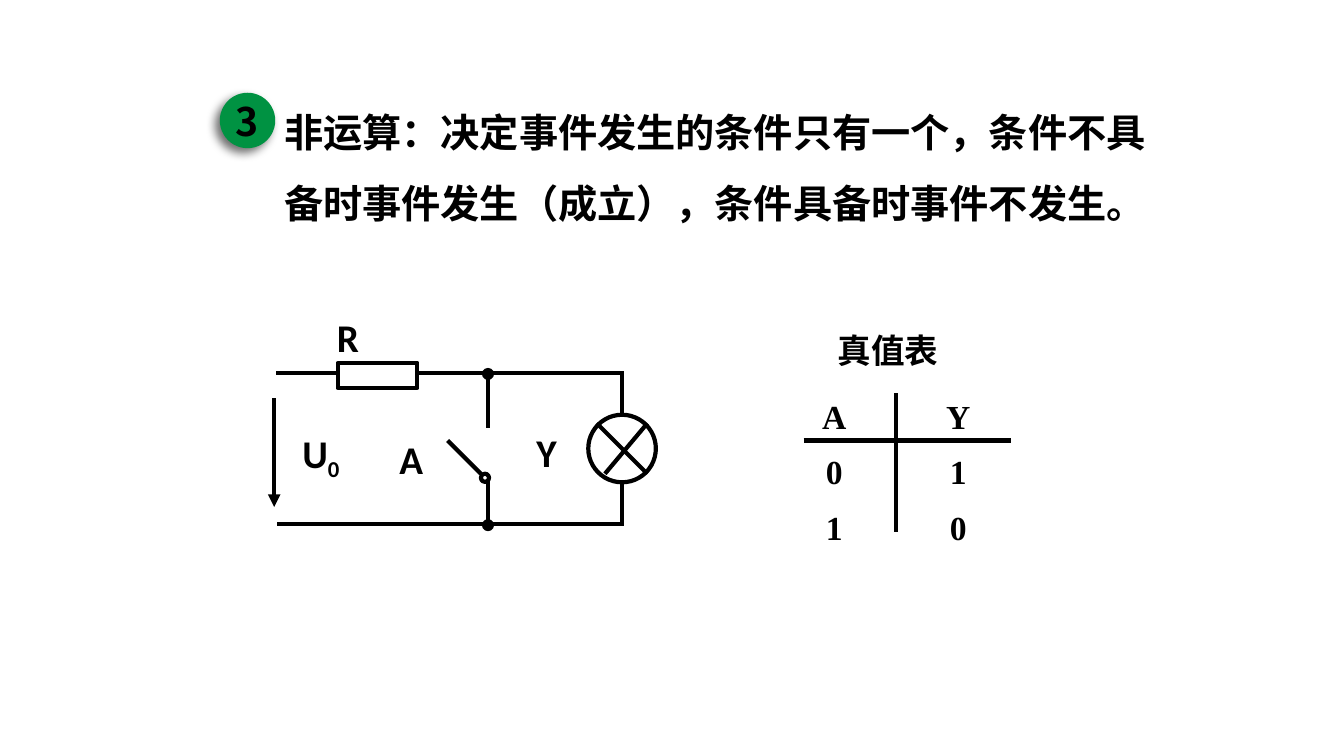
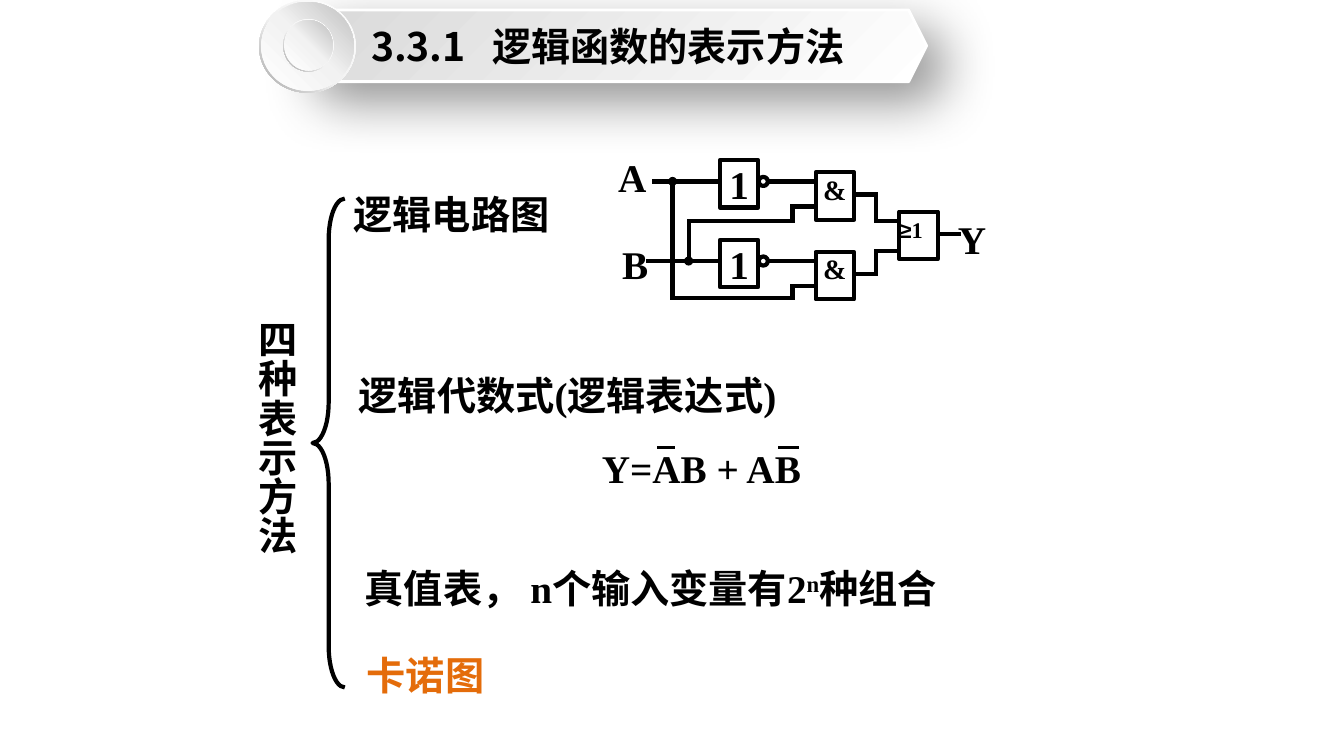
from itertools import pairwise

from lxml.etree import SubElement
from pptx import Presentation
from pptx.dml.color import RGBColor
from pptx.enum.shapes import MSO_CONNECTOR, MSO_SHAPE
from pptx.enum.text import MSO_ANCHOR, PP_ALIGN
from pptx.oxml.ns import qn
from pptx.util import Inches, Pt

BLACK, WHITE, GREEN, ORANGE = "000000", "FFFFFF", "009242", "E46C0A"
SERIF, SANS, CJK, SYMBOL = "Times New Roman", "Calibri", "Noto Sans CJK SC", "Arial"
TITLE_ONLY, BLANK = 5, 6


def color(value):
    return RGBColor.from_string(value)


def apply(target, values):
    for name, value in values.items():
        setattr(target, name, value)


def add_element(parent, tag, **attributes):
    return SubElement(parent, qn(tag), {key: str(value) for key, value in attributes.items()})


class Deck:
    line_width = 3

    def __init__(self):
        self.presentation = Presentation()
        apply(self.presentation, {"slide_width": Inches(13.33), "slide_height": Inches(7.5)})
        self.slide = None

    def new_slide(self, layout):
        self.slide = self.presentation.slides.add_slide(self.presentation.slide_layouts[layout])

    def set_text(self, frame, runs, size=28, font=SERIF, ink=BLACK, align=PP_ALIGN.LEFT,
                 anchor=MSO_ANCHOR.MIDDLE, margins=(0.1, 0.05), spacing=None, tab=None):
        side, top = map(Inches, margins)
        apply(frame, {"word_wrap": True, "vertical_anchor": anchor, "margin_left": side,
                      "margin_right": side, "margin_top": top, "margin_bottom": top})
        paragraph = frame.paragraphs[0]
        apply(paragraph, {"alignment": align, "space_before": Pt(0)})
        if spacing:
            paragraph.line_spacing = Pt(spacing)
        if tab:
            tabs = add_element(paragraph._p.get_or_add_pPr(), "a:tabLst")
            add_element(tabs, "a:tab", pos=Inches(tab), algn="l")
        for content, changes in [(runs, {})] if isinstance(runs, str) else runs:
            run = paragraph.add_run()
            run.text = content
            apply(run.font, {"name": changes.get("font", font), "size": Pt(size), "bold": True})
            run.font.color.rgb = color(ink)
            properties = run._r.get_or_add_rPr()
            add_element(properties, "a:ea", typeface=CJK)
            if "baseline" in changes:
                properties.set("baseline", str(changes["baseline"] * 1000))

    def title(self, content, left, top, width, height, tab):
        title = self.slide.shapes.title
        apply(title, {"left": Inches(left), "top": Inches(top),
                      "width": Inches(width), "height": Inches(height)})
        self.set_text(title.text_frame, content, font=CJK, margins=(0, 0), tab=tab)
        title._element.getparent().append(title._element)

    def text(self, left, middle, width, runs, height=0.6, vertical=False, **style):
        box = self.slide.shapes.add_textbox(
            Inches(left), Inches(middle - height / 2), Inches(width), Inches(height))
        self.set_text(box.text_frame, runs, **style)
        if vertical:
            box.text_frame._txBody.bodyPr.set("vert", "eaVert")

    def label(self, x, y, content, **style):
        self.text(x - 0.3, y, 0.6, content, align=PP_ALIGN.CENTER, **style)

    def shape(self, kind, left, top, width, height, fill=None, line=BLACK,
              weight=line_width, gradient=None, shadow=None, adjustments=()):
        shape = self.slide.shapes.add_shape(
            kind, Inches(left), Inches(top), Inches(width), Inches(height))
        for index, value in enumerate(adjustments):
            shape.adjustments[index] = value
        if gradient:
            self.gradient(shape, *gradient)
        elif fill:
            shape.fill.solid()
            shape.fill.fore_color.rgb = color(fill)
        else:
            shape.fill.background()
        if line:
            shape.line.color.rgb = color(line)
            shape.line.width = Pt(weight)
        else:
            shape.line.fill.background()
        shape.shadow.inherit = False
        if shadow:
            self.shadow(shape, *shadow)
        return shape

    def gradient(self, shape, stops, angle):
        shape.fill.gradient()
        shape.fill.gradient_angle = 360 - angle
        stop_list = shape._element.spPr.find(".//" + qn("a:gsLst"))
        stop_list.clear()
        for position, value in stops:
            stop = add_element(stop_list, "a:gs", pos=position * 1000)
            add_element(stop, "a:srgbClr", val=value)

    def shadow(self, shape, opacity, blur, distance, angle):
        effects = shape._element.spPr.find(qn("a:effectLst"))
        outer = add_element(effects, "a:outerShdw", blurRad=Pt(blur), dist=Pt(distance),
                            dir=angle * 60000, algn="ctr", rotWithShape=0)
        add_element(add_element(outer, "a:srgbClr", val=BLACK), "a:alpha", val=opacity * 1000)

    def circle(self, x, y, diameter, fill=WHITE, line=BLACK):
        return self.shape(MSO_SHAPE.OVAL, x - diameter / 2, y - diameter / 2,
                          diameter, diameter, fill, line)

    def dot(self, x, y, diameter):
        self.circle(x, y, diameter, BLACK, None)

    def line(self, start, end, weight=line_width, cap="flat", arrow=False):
        connector = self.slide.shapes.add_connector(
            MSO_CONNECTOR.STRAIGHT, *(Inches(value) for value in (*start, *end)))
        connector.line.color.rgb = color(BLACK)
        connector.line.width = Pt(weight)
        properties = connector._element.spPr
        outline = properties.find(qn("a:ln"))
        outline.set("cap", cap)
        if arrow:
            add_element(outline, "a:tailEnd", type="triangle")
        add_element(properties, "a:effectLst")

    def wire(self, *points):
        for start, end in pairwise(points):
            self.line(start, end, cap="sq")

    def gate(self, left, top, runs, **style):
        gate = self.shape(MSO_SHAPE.RECTANGLE, left, top, 0.38, 0.47, WHITE)
        self.set_text(gate.text_frame, runs, **style)

    def table(self, rows, left, top, column_width, row_height):
        table = self.slide.shapes.add_table(
            len(rows), len(rows[0]), Inches(left), Inches(top),
            Inches(column_width * len(rows[0])), Inches(row_height * len(rows))).table
        apply(table, {"first_row": False, "horz_banding": False})
        for row, values in zip(table.rows, rows):
            row.height = Inches(row_height)
            for cell, value in zip(row.cells, values):
                cell.fill.background()
                cell.vertical_anchor = MSO_ANCHOR.MIDDLE
                self.set_text(cell.text_frame, value, size=24, align=PP_ALIGN.CENTER)


def build_not_operation(deck):
    deck.new_slide(BLANK)
    badge = deck.shape(MSO_SHAPE.OVAL, 2.18, 0.92, 0.55, 0.55, GREEN, None,
                       shadow=(57, 7, 5, 135))
    deck.set_text(badge.text_frame, "3", font=CJK, align=PP_ALIGN.CENTER, margins=(0, 0))
    deck.text(2.72, 1.54, 8.8,
              "非运算：决定事件发生的条件只有一个，条件不具备时事件发生（成立），条件具备时事件不发生。",
              height=1.5, spacing=50.7)

    deck.text(8.21, 3.47, 1.54, "真值表", size=24)
    deck.table([("A", "Y"), ("0", "1"), ("1", "0")], 7.66, 3.87, 1.23, 0.55)
    deck.line((7.97, 4.37), (10.03, 4.37))
    deck.line((8.89, 3.9), (8.89, 5.28))

    top, bottom, switch, lamp = 3.7, 5.2, 4.84, 6.17
    deck.wire((2.76, top), (lamp, top), (lamp, bottom), (2.77, bottom))
    deck.line((switch, top), (switch, 4.25))
    deck.line((switch, 4.74), (switch, bottom))
    deck.line((4.77, 4.7), (4.44, 4.37))
    deck.circle(4.81, 4.74, 0.08)
    for y in (top, bottom):
        deck.dot(switch, y + 0.01, 0.12)
    deck.circle(lamp, 4.45, 0.67)
    deck.line((5.92, 4.2), (6.42, 4.7))
    deck.line((6, 4.7), (6.42, 4.2))
    deck.shape(MSO_SHAPE.RECTANGLE, 3.35, 3.6, 0.79, 0.25, WHITE)
    deck.line((2.72, 3.95), (2.72, 5.03), arrow=True)
    for x, y, name in ((3.45, 3.34, "R"), (4.08, 4.55, "A"), (5.42, 4.48, "Y")):
        deck.label(x, y, name, font=SANS)
    deck.text(2.9, 4.52, 0.75, [("U", {}), ("0", {"baseline": -25})], font=SANS)


def build_banner(deck):
    deck.shape(MSO_SHAPE.HEXAGON, 2.9, 0.1, 6.29, 0.71, line=WHITE, weight=2,
               gradient=([(0, WHITE), (100, "D9D9D9")], 225), shadow=(42, 38, 19, 45))
    ring = ([(0, WHITE), (55, "F2F2F2"), (100, "A6A6A6")], 135)
    disc = ([(0, WHITE), (51, "F2F2F2"), (100, "BFBFBF")], 315)
    for left, top, width, height, inset in ((2.57, 0, 0.96, 0.92, 0.02),
                                            (2.81, 0.19, 0.5, 0.52, 0.01)):
        deck.shape(MSO_SHAPE.DONUT, left, top, width, height, line=None,
                   gradient=ring, adjustments=[0.049])
        deck.shape(MSO_SHAPE.OVAL, left + inset, top + inset, width - 2 * inset,
                   height - 2 * inset, line=None, gradient=disc)
    deck.title("3.3.1\t逻辑函数的表示方法", 3.68, 0.1, 5.2, 0.71, 1.2)


def build_logic_circuit(deck):
    step = 0.79
    inputs = (("A", 6.27, 1.75, 6.49, 6.67, 2.96), ("B", 6.3, 2.62, 6.43, 6.83, 2.19))
    outputs = (2.19, 2.49)
    for row, (name, x, y, start, branch, bus) in enumerate(inputs):
        shift = row * step
        signal, joint, output = 1.8 + shift, 1.93 + shift, outputs[row]
        other_input = 2.05 + (1 - row) * step
        deck.label(x, y, name)
        deck.wire((start, signal), (8.09, signal))
        deck.wire((branch, signal), (branch, bus), (7.86, bus),
                  (7.86, other_input), (8.09, other_input))
        deck.wire((8.47, joint), (8.69, joint), (8.69, output), (8.92, output))
        deck.dot(branch, signal, 0.09)
        deck.gate(7.14, 1.59 + shift, "1", align=PP_ALIGN.CENTER, margins=(0, 0))
        deck.circle(7.57, signal, 0.09)
        deck.gate(8.09, 1.71 + shift, "&", size=20, align=PP_ALIGN.CENTER,
                  anchor=MSO_ANCHOR.TOP, margins=(0, 0))
    deck.line((9.3, 2.32), (9.53, 2.32))
    deck.gate(8.92, 2.1, [("≥", {"font": SYMBOL}), ("1", {})], size=16,
              anchor=MSO_ANCHOR.TOP, margins=(0, 0.05))
    deck.label(9.64, 2.37, "Y")


def build_representations(deck):
    deck.new_slide(TITLE_ONLY)
    build_banner(deck)
    deck.shape(MSO_SHAPE.LEFT_BRACE, 3.1, 1.97, 0.32, 4.85, adjustments=(1.264, 0.5))
    deck.text(2.41, 4.55, 0.67, "四种表示方法", height=2.94, vertical=True)
    deck.text(3.41, 2.12, 2.4, "逻辑电路图")
    build_logic_circuit(deck)
    deck.text(3.46, 3.92, 5.23, "逻辑代数式(逻辑表达式)")
    deck.text(5.87, 4.64, 2.28, "Y=AB + AB")
    for start, end in ((6.52, 6.69), (7.72, 7.92)):
        deck.line((start, 4.44), (end, 4.44), weight=2.25)
    deck.text(3.52, 5.84, 6.02,
              [("真值表， n个输入变量有2", {}), ("n", {"baseline": 30}), ("种组合", {})],
              height=1.02, spacing=33)
    deck.text(3.54, 6.69, 1.5, "卡诺图", ink=ORANGE)


def main():
    deck = Deck()
    build_not_operation(deck)
    build_representations(deck)
    deck.presentation.save("out.pptx")


if __name__ == "__main__":
    main()
